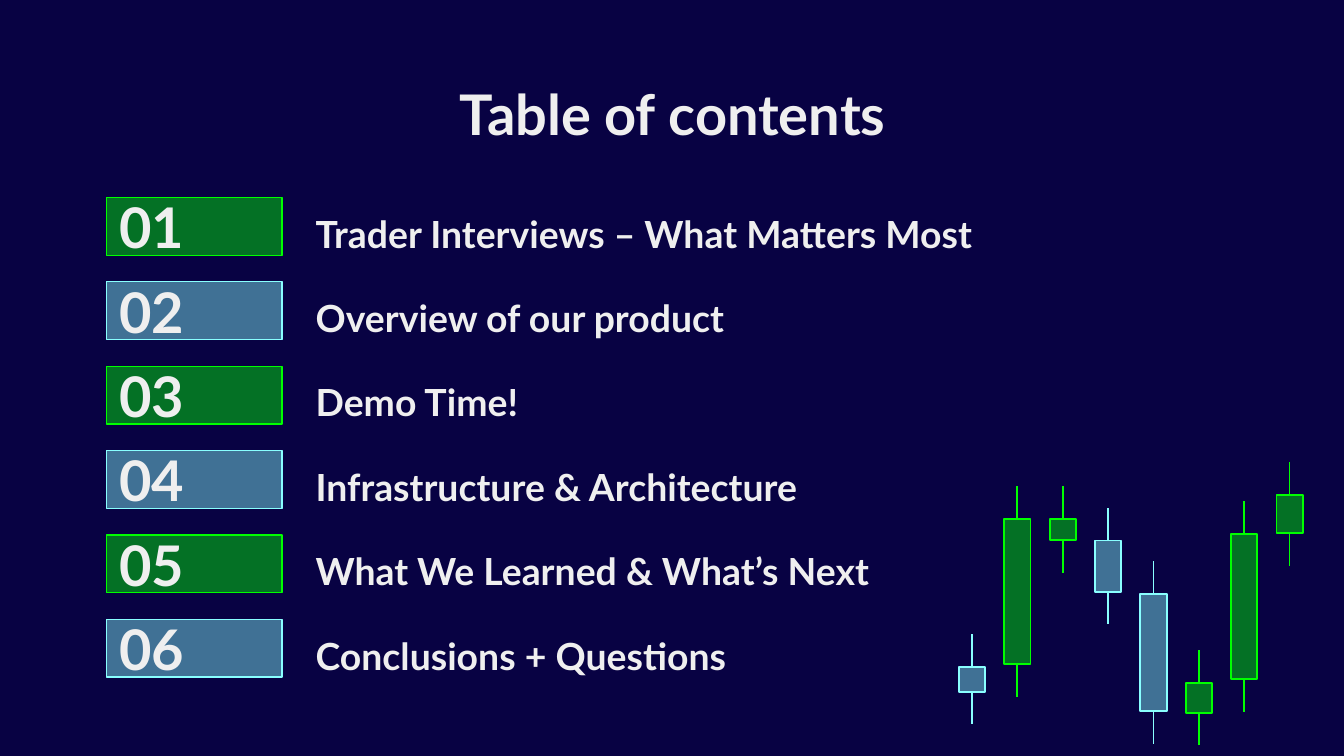
from lxml.etree import SubElement
from pptx import Presentation
from pptx.dml.color import RGBColor
from pptx.enum.shapes import MSO_CONNECTOR, MSO_SHAPE
from pptx.enum.text import MSO_ANCHOR, PP_ALIGN
from pptx.oxml.ns import qn
from pptx.util import Pt

NAVY = RGBColor(0x08, 0x02, 0x43)
WHITE = RGBColor(0xEF, 0xEF, 0xEF)
GREEN = RGBColor(0x00, 0xFF, 0x00)
CYAN = RGBColor(0x89, 0xFF, 0xFF)
FONT = "Lato"
OPACITY = 44

LEFT = 56.9
TOPICS_TOP, TOPIC_PITCH, TOPIC_HEIGHT = 105.8, 45.2, 31
TOPICS = [
    "Trader Interviews – What Matters Most",
    "Overview of our product",
    "Demo Time!",
    "Infrastructure & Architecture",
    "What We Learned & What’s Next",
    "Conclusions + Questions",
]

CANDLES_LEFT, CANDLE_PITCH, CANDLE_WIDTH, WICK = 513.7, 24.3, 14.1, 17.4
CANDLES = [  # colour, top and bottom of the body
    (CYAN, 357.2, 370.6),
    (GREEN, 277.9, 355.8),
    (GREEN, 277.9, 289.4),
    (CYAN, 289.6, 317),
    (CYAN, 318.2, 381),
    (GREEN, 365.8, 382),
    (GREEN, 285.9, 363.8),
    (GREEN, 265.1, 285.6),
]


def write(shape, text, size, align=PP_ALIGN.LEFT, anchor=MSO_ANCHOR.TOP):
    frame = shape.text_frame
    frame.word_wrap = True
    frame.vertical_anchor = anchor
    frame.margin_left = frame.margin_right = Pt(7.2)
    frame.margin_top = frame.margin_bottom = Pt(7.2)
    paragraph = frame.paragraphs[0]
    paragraph.alignment = align
    run = paragraph.add_run()
    run.text = text
    run.font.name = FONT
    run.font.size = Pt(size)
    run.font.bold = True
    run.font.color.rgb = WHITE


def add_text(slide, left, top, width, height, text, **text_format):
    box = slide.shapes.add_textbox(Pt(left), Pt(top), Pt(width), Pt(height))
    write(box, text, **text_format)


def add_tinted_box(shapes, left, top, width, height, colour, line_width):
    """Add a rectangle with a solid outline and a translucent fill of one colour."""
    box = shapes.add_shape(
        MSO_SHAPE.RECTANGLE, Pt(left), Pt(top), Pt(width), Pt(height))
    box.shadow.inherit = False
    box.fill.solid()
    box.fill.fore_color.rgb = colour
    tint = box.fill._xPr.find(qn("a:solidFill"))[0]
    SubElement(tint, qn("a:alpha"), val=str(OPACITY * 1000))
    box.line.color.rgb = colour
    box.line.width = Pt(line_width)
    return box


def add_wick(shapes, x, top, bottom, colour):
    wick = shapes.add_connector(
        MSO_CONNECTOR.STRAIGHT, Pt(x), Pt(top), Pt(x), Pt(bottom))
    wick.line.color.rgb = colour
    wick.line.width = Pt(1)
    SubElement(wick._element.spPr, qn("a:effectLst"))


def add_topic(slide, index, topic):
    top = TOPICS_TOP + index * TOPIC_PITCH
    colour = CYAN if index % 2 else GREEN
    badge = add_tinted_box(
        slide.shapes, LEFT, top, 94.3, TOPIC_HEIGHT, colour, 0.75)
    write(badge, f"{index + 1:02}", size=30, anchor=MSO_ANCHOR.MIDDLE)
    add_text(slide, 162, top, 474, TOPIC_HEIGHT, topic, size=20)


def add_candle(shapes, index, colour, top, bottom):
    left = CANDLES_LEFT + index * CANDLE_PITCH
    middle = left + CANDLE_WIDTH / 2
    add_tinted_box(shapes, left, top, CANDLE_WIDTH, bottom - top, colour, 1)
    add_wick(shapes, middle, top - WICK, top, colour)
    add_wick(shapes, middle, bottom, bottom + WICK, colour)


def main():
    deck = Presentation()
    deck.slide_width, deck.slide_height = Pt(720), Pt(405)
    slide = deck.slides.add_slide(deck.slide_layouts[6])
    slide.background.fill.solid()
    slide.background.fill.fore_color.rgb = NAVY

    add_text(slide, LEFT, 35.3, 607, 45.4, "Table of contents",
             size=30, align=PP_ALIGN.CENTER)
    for index, topic in enumerate(TOPICS):
        add_topic(slide, index, topic)

    candlesticks = slide.shapes.add_group_shape()
    for index, candle in enumerate(CANDLES):
        add_candle(candlesticks.shapes, index, *candle)

    deck.save("out.pptx")


if __name__ == "__main__":
    main()
